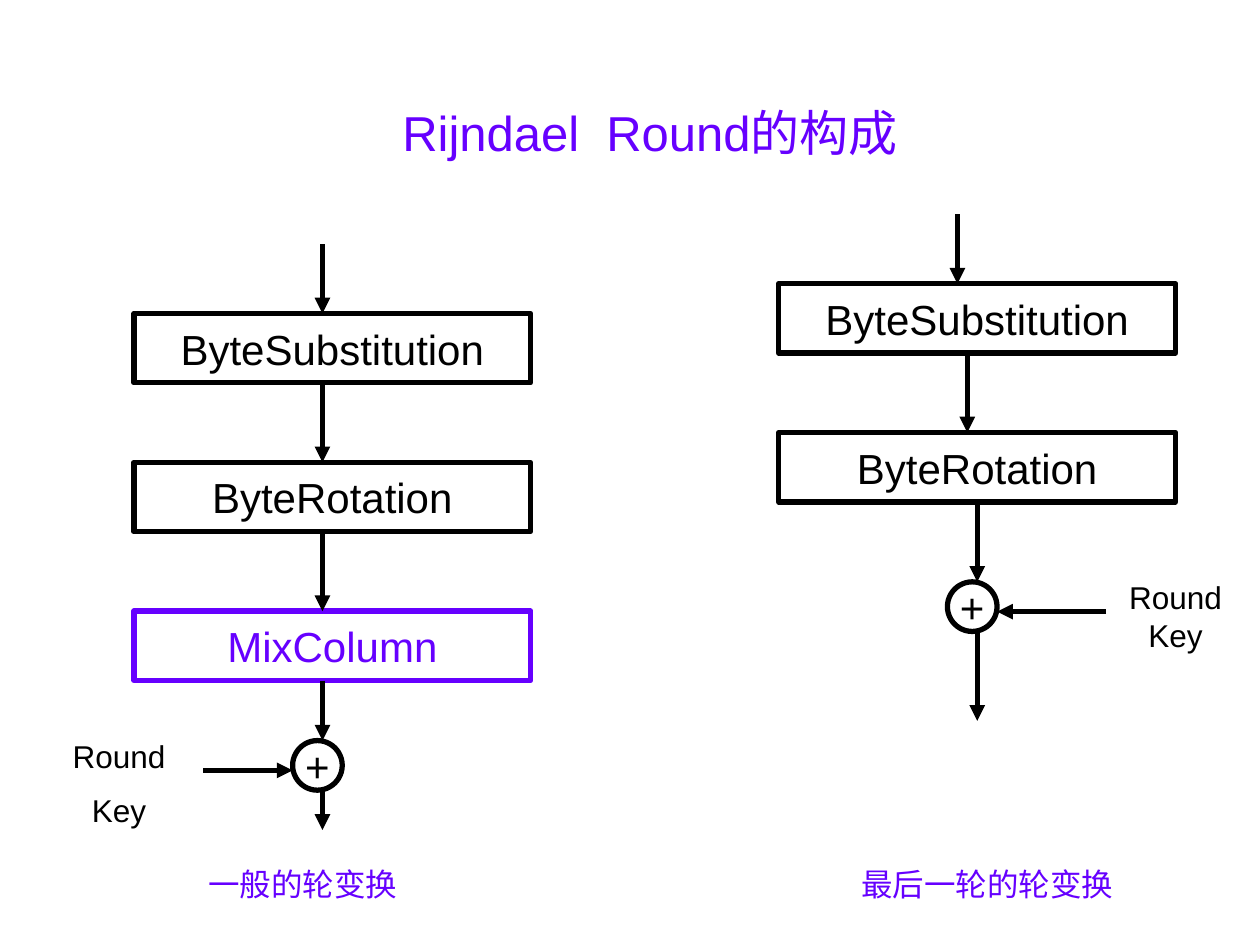
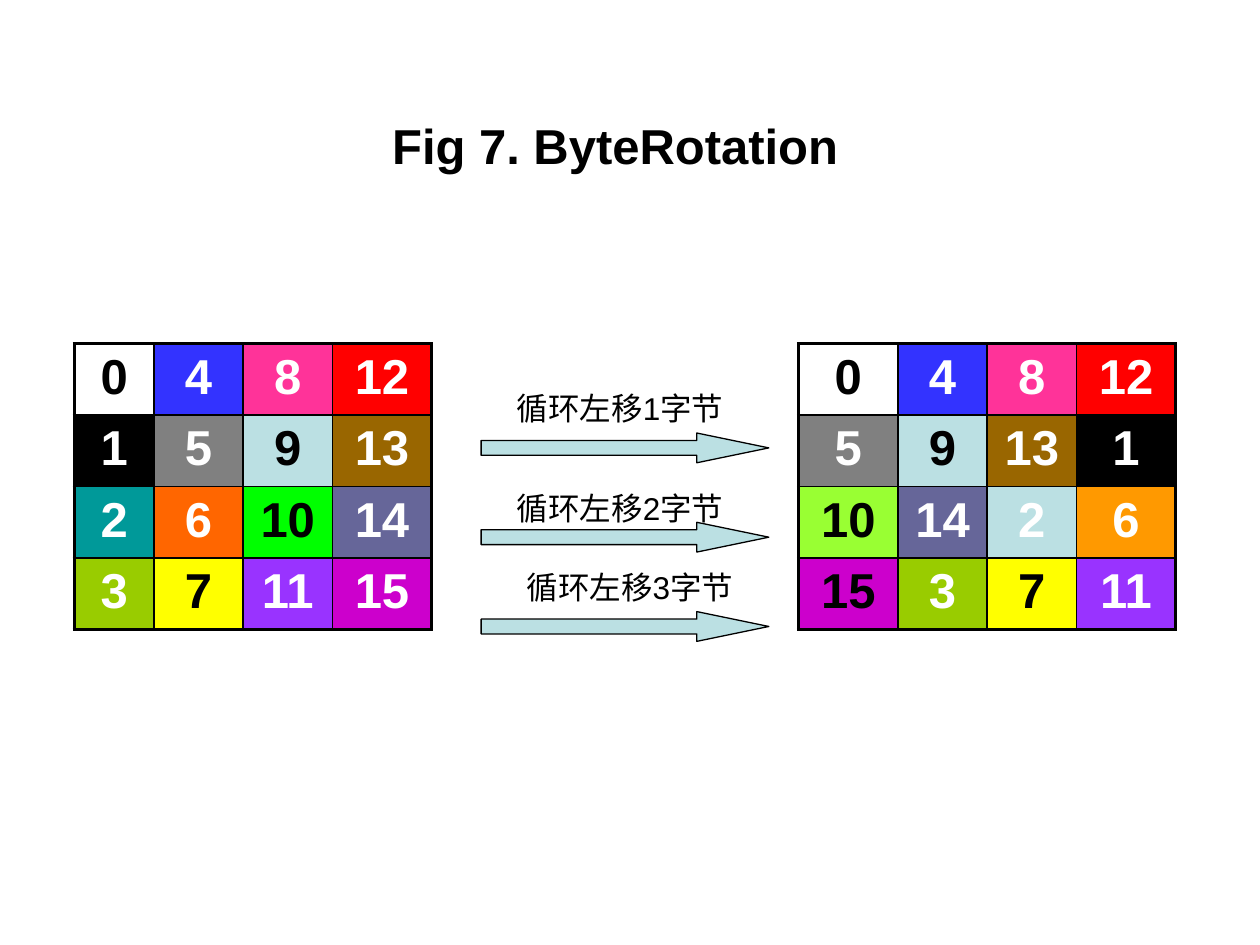
from lxml import etree
from pptx import Presentation
from pptx.dml.color import RGBColor
from pptx.enum.shapes import MSO_CONNECTOR, MSO_SHAPE
from pptx.enum.text import MSO_ANCHOR, MSO_AUTO_SIZE, PP_ALIGN
from pptx.oxml.ns import qn
from pptx.util import Cm, Pt

RECT, OVAL, BLOCK_ARROW = MSO_SHAPE.RECTANGLE, MSO_SHAPE.OVAL, MSO_SHAPE.RIGHT_ARROW
STRAIGHT = MSO_CONNECTOR.STRAIGHT
MIDDLE, CENTER = MSO_ANCHOR.MIDDLE, PP_ALIGN.CENTER
NO_FIT, GROW = MSO_AUTO_SIZE.NONE, MSO_AUTO_SIZE.SHAPE_TO_FIT_TEXT
BOTTOM_SIDE = 2

BLACK = RGBColor(0x00, 0x00, 0x00)
WHITE = RGBColor(0xFF, 0xFF, 0xFF)
VIOLET = RGBColor(0x66, 0x00, 0xFF)
PALE = RGBColor(0xBB, 0xE0, 0xE3)
TEAL = RGBColor(0x00, 0x99, 0x99)
ORANGE = RGBColor(0xFF, 0x66, 0x00)
AMBER = RGBColor(0xFF, 0x99, 0x00)
GREEN = RGBColor(0x00, 0xFF, 0x00)
LIME = RGBColor(0x99, 0xFF, 0x33)

# Fill of each byte; None is unfilled
BYTE_FILLS = {
    0: None, 1: BLACK, 2: TEAL, 3: RGBColor(0x99, 0xCC, 0x00),
    4: RGBColor(0x33, 0x33, 0xFF), 5: RGBColor(0x80, 0x80, 0x80),
    6: ORANGE, 7: RGBColor(0xFF, 0xFF, 0x00),
    8: RGBColor(0xFF, 0x33, 0x99), 9: PALE, 10: GREEN,
    11: RGBColor(0x99, 0x33, 0xFF), 12: RGBColor(0xFF, 0x00, 0x00),
    13: RGBColor(0x99, 0x66, 0x00), 14: RGBColor(0x66, 0x66, 0x99),
    15: RGBColor(0xCC, 0x00, 0xCC),
}
ROTATED_FILLS = {**BYTE_FILLS, 2: PALE, 6: AMBER, 10: LIME}
DARK_TEXT = {0, 7, 9, 10}

BOX_W, BOX_H, BOX_STEP = 8, 1.4, 3
XOR_SIZE = 1
ROW_H = 1.44
LABEL_H = 1.09


def set_all(obj, values):
    for name, value in values.items():
        setattr(obj, name, value)


class Deck:
    """Holds the text and line style, and the slide being filled. Lengths are in cm."""

    font = "Arial"
    line_pt = 3

    def __init__(self, prs):
        self.prs = prs
        self.slide = None

    def new_slide(self, title, box, color, bold=False):
        self.slide = self.prs.slides.add_slide(self.prs.slide_layouts[5])
        sp = self.slide.shapes.title
        set_all(sp, dict(zip(("left", "top", "width", "height"), map(Cm, box))))
        set_all(sp.text_frame, {"vertical_anchor": MIDDLE, "auto_size": NO_FIT})
        self.put_text(sp.text_frame, [title], 28, color, bold)

    def put_text(self, tf, lines, size, color=BLACK, bold=False, gap=0):
        for i, line in enumerate(lines):
            p = tf.add_paragraph() if i else tf.paragraphs[0]
            p.alignment = CENTER
            p.space_before = Pt(gap if i else 0)
            r = p.add_run()
            r.text = line
            set_all(r.font, {"name": self.font, "size": Pt(size), "bold": bold})
            r.font.color.rgb = color

    def label(self, lines, x, y, w, h=LABEL_H, color=BLACK, gap=0):
        tf = self.slide.shapes.add_textbox(*map(Cm, (x, y, w, h))).text_frame
        set_all(tf, {"word_wrap": True, "auto_size": GROW})
        self.put_text(tf, lines, 18, color, gap=gap)

    def shape(self, kind, x, y, w, h, fill=WHITE, line=BLACK, line_pt=line_pt):
        sp = self.slide.shapes.add_shape(kind, *map(Cm, (x, y, w, h)))
        sp.shadow.inherit = False
        sp.fill.solid()
        sp.fill.fore_color.rgb = fill
        sp.line.color.rgb = line
        sp.line.width = Pt(line_pt)
        return sp

    def node(self, kind, text, x, y, w, h, color=BLACK):
        """Outlined shape with its text in the same colour."""
        sp = self.shape(kind, x, y, w, h, line=color)
        set_all(sp.text_frame, {"word_wrap": False, "vertical_anchor": MIDDLE})
        self.put_text(sp.text_frame, [text], 24, color)
        return sp

    def box(self, text, x, y, color=BLACK):
        return self.node(RECT, text, x, y, BOX_W, BOX_H, color)

    def xor(self, x, y):
        return self.node(OVAL, "+", x, y, XOR_SIZE, XOR_SIZE)

    def arrow(self, x1, y1, x2, y2):
        cxn = self.slide.shapes.add_connector(STRAIGHT, *map(Cm, (x1, y1, x2, y2)))
        cxn.line.color.rgb = BLACK
        cxn.line.width = Pt(self.line_pt)
        sp_pr = cxn._element.spPr
        etree.SubElement(sp_pr.find(qn("a:ln")), qn("a:tailEnd"), type="triangle")
        etree.SubElement(sp_pr, qn("a:effectLst"))
        return cxn

    def byte_table(self, rows, x, y, col_widths, fills, dark):
        n = len(rows)
        table = self.slide.shapes.add_table(
            n, n, *map(Cm, (x, y, sum(col_widths), n * ROW_H))).table
        set_all(table, {"first_row": False, "horz_banding": False})
        for col, width in zip(table.columns, col_widths):
            col.width = Cm(width)
        for i, row in enumerate(rows):
            for j, byte in enumerate(row):
                cell = table.cell(i, j)
                self.borders(cell, L=j == 0, R=j == n - 1, T=i == 0, B=i == n - 1)
                if fills[byte] is None:
                    cell.fill.background()
                else:
                    cell.fill.solid()
                    cell.fill.fore_color.rgb = fills[byte]
                color = BLACK if byte in dark else WHITE
                self.put_text(cell.text_frame, [str(byte)], 28, color, bold=True)

    def borders(self, cell, **outer):
        """Thick line on the sides that are outer, thin on the others."""
        tc_pr = cell._tc.get_or_add_tcPr()
        for side, is_outer in outer.items():
            ln = etree.SubElement(tc_pr, qn(f"a:ln{side}"),
                                  w=str(Pt(2.25 if is_outer else 1)))
            fill = etree.SubElement(ln, qn("a:solidFill"))
            etree.SubElement(fill, qn("a:srgbClr"), val=str(BLACK))


def round_slide(deck):
    deck.new_slide("Rijndael  Round的构成", (5.3, 1.93, 15.6, 1.45), VIOLET)

    # General round
    x, top, flow_x, xor_y = 2.7, 6.32, 6.5, 14.93
    steps = [("ByteSubstitution", BLACK), ("ByteRotation", BLACK), ("MixColumn", VIOLET)]
    start = top - BOX_H
    for i, (text, color) in enumerate(steps):
        y = top + i * BOX_STEP
        deck.box(text, x, y, color)
        deck.arrow(flow_x, start, flow_x, y)
        start = y + BOX_H
    deck.arrow(flow_x, start, flow_x, xor_y)
    deck.xor(5.9, xor_y)
    deck.arrow(4.1, 15.53, 5.9, 15.53)
    deck.arrow(flow_x, xor_y + XOR_SIZE, flow_x, 16.73)
    deck.label(["Round", "Key"], 0.7, 14.73, 3.4, 2.36, gap=9.5)
    deck.label(["一般的轮变换"], 1.5, 17.32, 9.2, color=VIOLET)

    # Last round, without MixColumn
    x, top, xor_y = 15.7, 5.72, 11.73
    middle = x + BOX_W / 2
    start = top - BOX_H
    for i, (text, flow_x) in enumerate([("ByteSubstitution", 19.3), ("ByteRotation", 19.5)]):
        y = top + i * BOX_STEP
        box = deck.box(text, x, y)
        deck.arrow(flow_x, start, flow_x, y)
        start = y + BOX_H
    deck.arrow(middle, start, middle, xor_y).begin_connect(box, BOTTOM_SIDE)
    deck.xor(19.1, xor_y)
    deck.arrow(22.3, 12.33, 20.1, 12.33)
    deck.arrow(middle, xor_y + XOR_SIZE, middle, 14.53)
    deck.label(["Round", "Key"], 22, 11.53, 3.4, 1.96)
    deck.label(["最后一轮的轮变换"], 15.3, 17.32, 9.2, color=VIOLET)


def rotation_slide(deck):
    deck.new_slide("Fig 7. ByteRotation", (1.3, 1.73, 22.2, 2.39), BLACK, bold=True)
    state = [list(range(i, 16, 4)) for i in range(4)]
    rotated = [row[i:] + row[:i] for i, row in enumerate(state)]
    deck.byte_table(state, 1.5, 6.93, (1.6, 1.8, 1.8, 2), BYTE_FILLS, DARK_TEXT)
    deck.byte_table(rotated, 16.1, 6.93, (2, 1.8, 1.8, 2), ROTATED_FILLS, DARK_TEXT | {15})
    for i, (x, y) in enumerate([(9.5, 7.72), (9.5, 9.73), (9.7, 11.33)]):
        sp = deck.shape(BLOCK_ARROW, 9.7, 8.73 + i * 1.8, 5.8, 0.6, PALE, line_pt=0.75)
        sp.adjustments[1] = 2.42
        deck.label([f"循环左移{i + 1}字节"], x, y, 6)


def main():
    prs = Presentation()
    set_all(prs, {"slide_width": Cm(25.4), "slide_height": Cm(19.05)})
    deck = Deck(prs)
    round_slide(deck)
    rotation_slide(deck)
    prs.save("out.pptx")


if __name__ == "__main__":
    main()
